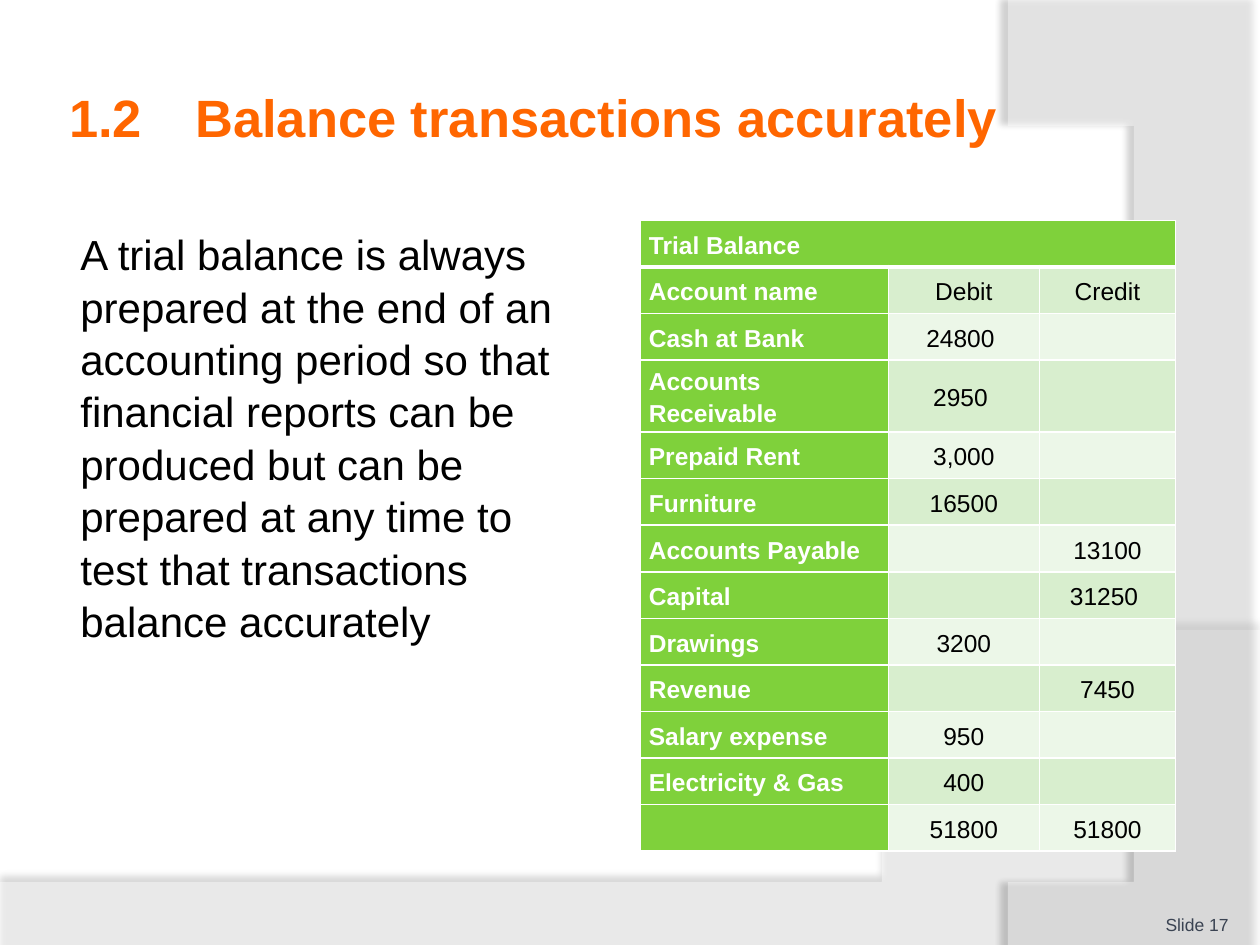
from dataclasses import dataclass

from pptx import Presentation
from pptx import util as u
from pptx.dml.color import RGBColor
from pptx.enum import text
from pptx.oxml import parse_xml
from pptx.oxml.ns import nsdecls

FONT = "Arial"
BLACK = RGBColor(0x00, 0x00, 0x00)
WHITE = RGBColor(0xFF, 0xFF, 0xFF)
ORANGE = RGBColor(0xFF, 0x66, 0x00)
SLATE = RGBColor(0x3A, 0x43, 0x52)
GREEN = RGBColor(0x7F, 0xD1, 0x3B)
BANDS = (RGBColor(0xEC, 0xF7, 0xE8), RGBColor(0xD8, 0xEE, 0xCE))
CURVE_STEPS = 60

Point = tuple[float, float]


@dataclass
class Swoosh:
    """A translucent panel with one curved edge and a soft shadow."""
    start: Point
    control_1: Point
    control_2: Point
    end: Point
    corners: list[Point]
    opacity: int
    shadow_opacity: int
    shadow_distance: float
    shadow_angle: int


@dataclass
class Account:
    name: str
    debit: str = ""
    credit: str = ""


SWOOSHES = [
    Swoosh((10, 5.2), (5.59, 7.29), (3.91, 7.19), (0, 7.05),
           [(0, 7.5), (10, 7.5)], 45, 35, 3.5, 270),
    Swoosh((8.21, 7.5), (9.35, 6.19), (10.18, 3), (8, 0),
           [(10, 0.02), (10, 7.5)], 40, 45, 4, 180),
]

ACCOUNTS = [
    Account("Trial Balance"),
    Account("Account name", "Debit", "Credit"),
    Account("Cash at Bank", debit="24800 "),
    Account("Accounts Receivable", debit="2950 "),
    Account("Prepaid Rent", debit="3,000"),
    Account("Furniture", debit="16500"),
    Account("Accounts Payable", credit="13100"),
    Account("Capital", credit="31250 "),
    Account("Drawings", debit="3200"),
    Account("Revenue", credit="7450"),
    Account("Salary expense", debit="950"),
    Account("Electricity & Gas", debit="400"),
    Account("", "51800", "51800"),
]
COLUMN_WIDTHS = (1.97, 1.2, 1.08)
ROW_HEIGHT = 0.37
TALL_ROW, TALL_HEIGHT = 3, 0.57


def curve_points(swoosh: Swoosh) -> list[Point]:
    """Sample the cubic Bezier edge from start to end."""
    anchors = (swoosh.start, swoosh.control_1, swoosh.control_2, swoosh.end)
    points = []
    for step in range(CURVE_STEPS + 1):
        t = step / CURVE_STEPS
        weights = ((1 - t) ** 3, 3 * t * (1 - t) ** 2, 3 * t * t * (1 - t), t ** 3)
        points.append(tuple(sum(w * a[axis] for w, a in zip(weights, anchors))
                            for axis in (0, 1)))
    return points


def draw_swoosh(page, swoosh: Swoosh) -> None:
    first, *rest = curve_points(swoosh) + swoosh.corners
    builder = page.shapes.build_freeform(*first, scale=float(u.Inches(1)))
    builder.add_line_segments(rest, close=True)
    panel = builder.convert_to_shape()
    panel.fill.solid()
    panel.fill.fore_color.rgb = WHITE
    panel.line.fill.background()
    properties = panel.element.spPr
    colour = properties.find(".//{*}solidFill/{*}srgbClr")
    colour.append(parse_xml(f'<a:alpha {nsdecls("a")} val="{swoosh.opacity * 1000}"/>'))
    properties.append(parse_xml(
        f'<a:effectLst {nsdecls("a")}><a:outerShdw blurRad="{u.Pt(4)}" '
        f'dist="{u.Pt(swoosh.shadow_distance)}" dir="{swoosh.shadow_angle * 60000}" '
        f'algn="ctr" rotWithShape="0"><a:srgbClr val="{BLACK}">'
        f'<a:alpha val="{swoosh.shadow_opacity * 1000}"/>'
        '</a:srgbClr></a:outerShdw></a:effectLst>'))


def write(frame, words: str, *, size: float, color: RGBColor, bold: bool = False,
          align=text.PP_ALIGN.LEFT, spacing: float = 1.0, after: float = 0,
          indent: float = 0, tab: float = 0) -> None:
    para = frame.paragraphs[0]
    para.alignment = align
    para.line_spacing = spacing
    para.space_after = u.Pt(after)
    properties = para._p.get_or_add_pPr()
    if indent:
        properties.set("marL", str(u.Inches(indent)))
    if tab:
        properties.append(parse_xml(
            f'<a:tabLst {nsdecls("a")}><a:tab pos="{u.Inches(tab)}" algn="l"/></a:tabLst>'))
    para.font.size = u.Pt(size)
    if not words:
        return
    span = para.add_run()
    span.text = words
    span.font.name = FONT
    span.font.size = u.Pt(size)
    span.font.bold = bold
    span.font.color.rgb = color


def add_text(page, words: str, place: tuple, insets: Point, anchor, **style) -> None:
    box = page.shapes.add_textbox(*map(u.Inches, place))
    frame = box.text_frame
    frame.word_wrap = True
    frame.vertical_anchor = anchor
    frame.margin_left = frame.margin_right = u.Inches(insets[0])
    frame.margin_top = frame.margin_bottom = u.Inches(insets[1])
    write(frame, words, **style)


def set_borders(cell, top: float = 1, bottom: float = 1) -> None:
    """Put white lines, in points, ahead of the cell's fill."""
    properties = cell._tc.get_or_add_tcPr()
    widths = {"lnL": 1, "lnR": 1, "lnT": top, "lnB": bottom}
    for position, (side, width) in enumerate(widths.items()):
        properties.insert(position, parse_xml(
            f'<a:{side} {nsdecls("a")} w="{u.Pt(width)}"><a:solidFill>'
            f'<a:srgbClr val="{WHITE}"/></a:solidFill></a:{side}>'))


def draw_trial_balance(page) -> None:
    frame = page.shapes.add_table(len(ACCOUNTS), len(COLUMN_WIDTHS), u.Inches(5.08),
                                  u.Inches(1.75), u.Inches(4.25), u.Inches(5))
    table = frame.table
    table.first_row = table.horz_banding = False
    for column, width in zip(table.columns, COLUMN_WIDTHS):
        column.width = u.Inches(width)
    for row, account in enumerate(ACCOUNTS):
        table.rows[row].height = u.Inches(TALL_HEIGHT if row == TALL_ROW else ROW_HEIGHT)
        for column, words in enumerate((account.name, account.debit, account.credit)):
            heading = row == 0 or column == 0
            cell = table.cell(row, column)
            cell.vertical_anchor = text.MSO_ANCHOR.MIDDLE
            cell.margin_left = cell.margin_right = u.Inches(0.07)
            cell.margin_top = cell.margin_bottom = 0
            cell.fill.solid()
            cell.fill.fore_color.rgb = GREEN if heading else BANDS[row % 2]
            set_borders(cell, top=3 if row == 1 else 1, bottom=3 if row == 0 else 1)
            write(cell.text_frame, words, size=14, bold=heading,
                  color=WHITE if heading else BLACK, spacing=1.15, after=6,
                  align=text.PP_ALIGN.LEFT if heading else text.PP_ALIGN.CENTER)
    table.cell(0, 0).merge(table.cell(0, len(COLUMN_WIDTHS) - 1))


def main() -> None:
    deck = Presentation()
    deck.slide_width, deck.slide_height = u.Inches(10), u.Inches(7.5)
    page = deck.slides.add_slide(deck.slide_layouts[6])
    for swoosh in SWOOSHES:
        draw_swoosh(page, swoosh)
    add_text(page, "1.2\tBalance transactions accurately", (0.5, 0.3, 8.17, 1.25),
             (0.05, 0.05), text.MSO_ANCHOR.MIDDLE, size=30, color=ORANGE, bold=True, tab=1)
    add_text(page, "A trial balance is always prepared at the end of an accounting "
             "period so that financial reports can be produced but can be prepared at "
             "any time to test that transactions balance accurately",
             (0.5, 1.75, 4, 4.95), (0.1, 0.05), text.MSO_ANCHOR.TOP,
             size=24, color=BLACK, spacing=1.04, after=12, indent=0.04)
    draw_trial_balance(page)
    add_text(page, "Slide 17", (8.92, 7.02, 0.83, 0.4), (0, 0), text.MSO_ANCHOR.BOTTOM,
             size=10, color=SLATE, align=text.PP_ALIGN.RIGHT)
    deck.save("out.pptx")


if __name__ == "__main__":
    main()
